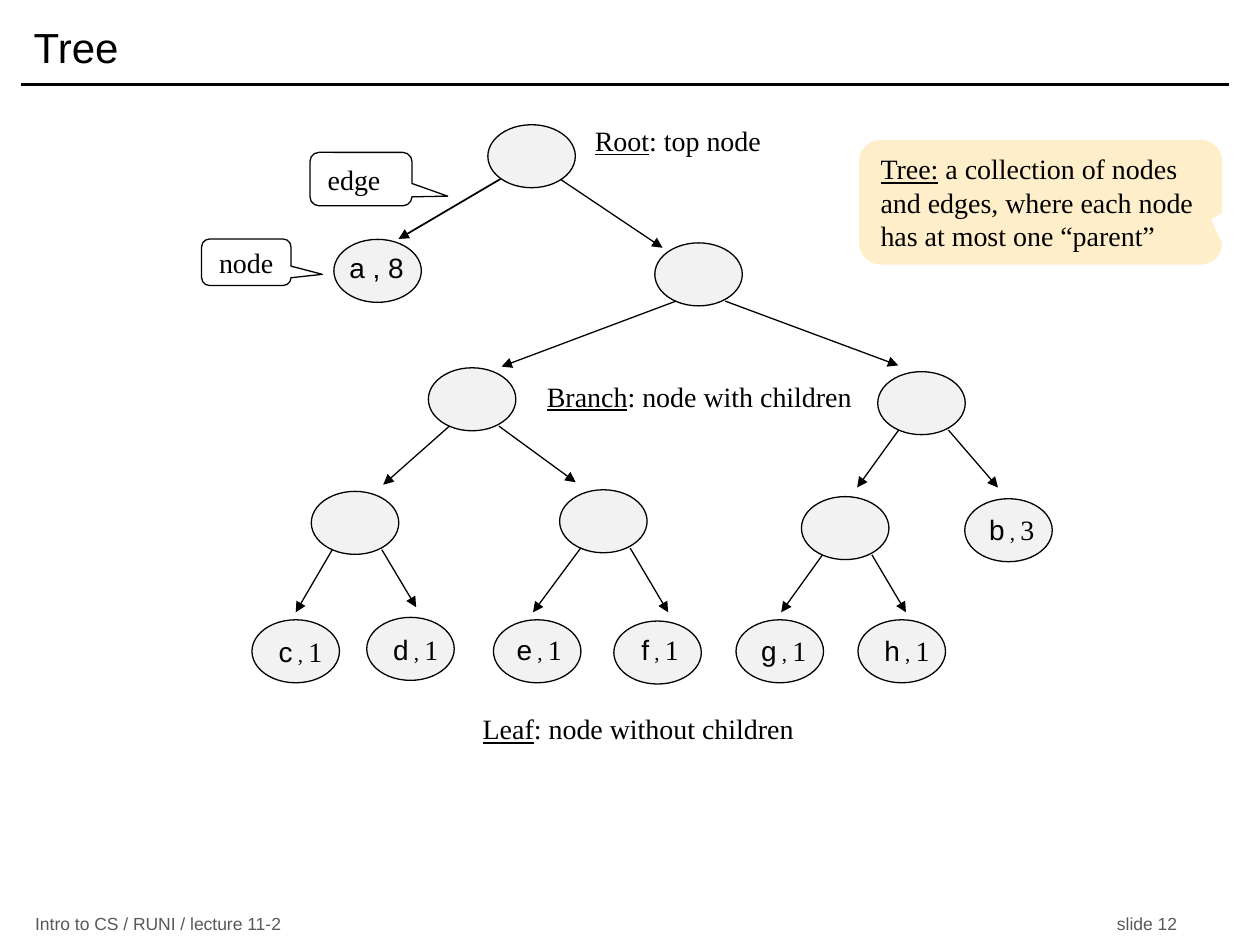
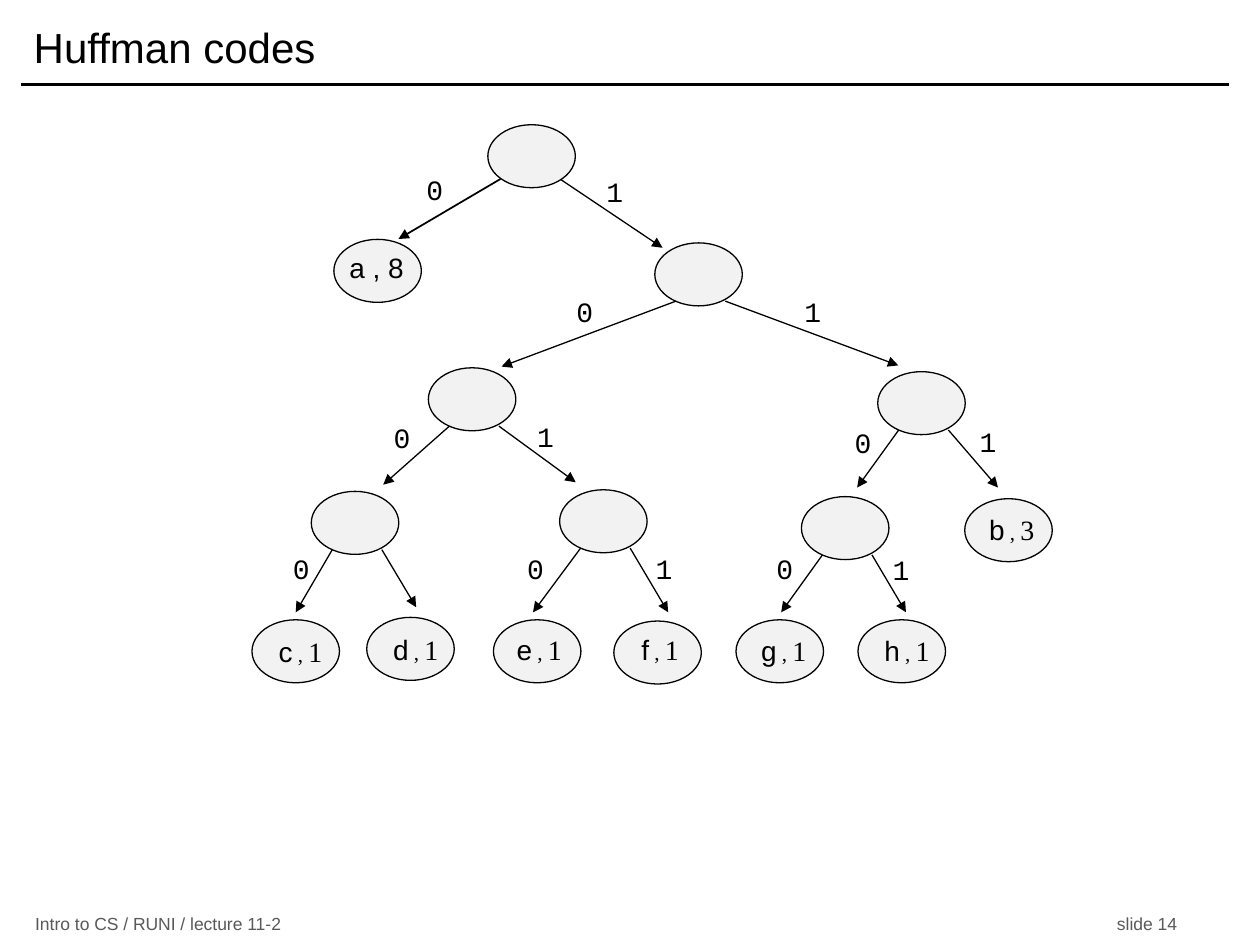
import dataclasses

import pptx
import pptx.dml.color
import pptx.enum.shapes
import pptx.enum.text
import pptx.oxml.ns
import pptx.util
from lxml import etree

Pt = pptx.util.Pt
RGB = pptx.dml.color.RGBColor.from_string
SHAPE = pptx.enum.shapes.MSO_SHAPE
ALIGN = pptx.enum.text.PP_ALIGN
ANCHOR = pptx.enum.text.MSO_ANCHOR


@dataclasses.dataclass(frozen=True)
class Theme:
    ink: str = "000000"
    muted: str = "595959"
    paper: str = "FFFFFF"
    node: str = "F2F2F2"
    highlight: str = "FFEECA"
    sans: str = "Arial"
    serif: str = "Times New Roman"
    mono: str = "Courier New"
    title: float = 24
    body: float = 16
    comma: float = 12
    footer: float = 10
    thin: float = 0.75
    rule: float = 2


T = Theme()

# Each node is keyed by its code: the parent's code plus one bit.
NODES = {
    "": (278.8, 71.3),
    "0": (190.8, 136.8), "1": (374.2, 138.8),
    "10": (244.8, 210.2), "11": (501.6, 212.4),
    "100": (177.9, 280.8), "101": (319.8, 279.9),
    "110": (458, 283.8), "111": (551.3, 285),
    "1000": (144, 354.2), "1001": (209.6, 352.8),
    "1010": (282, 354.2), "1011": (350.8, 354.9),
    "1100": (420.6, 354.2), "1101": (490.3, 354.2),
}
NODE_SIZE = (50, 36)
ARROW_TIPS = {
    "0": (227.7, 136.6), "1": (378.6, 141.6),
    "10": (286.6, 209.5), "11": (513.3, 208.8),
    "100": (219, 277), "101": (329, 275.6),
    "110": (489.8, 278.6), "111": (570.3, 278.6),
    "1000": (169, 349.9), "1001": (237.8, 347),
    "1010": (304.6, 349.9), "1011": (381.8, 349.9),
    "1100": (446.4, 349.9), "1101": (517.7, 349.9),
}
# Where the arrows to children 0 and 1 leave a node
EXITS = {"0": (12, 33.3), "1": (40.3, 33.3)}
ROOT_EXITS = {"0": (7.2, 31), "1": (41.2, 31)}
# code: (letter, count, left, top)
LEAVES = {
    "111": ("b", "3", 558, 289.4),
    "1000": ("c", "1", 151.6, 359.3),
    "1001": ("d", "1", 217.4, 357.8),
    "1010": ("e", "1", 288, 357.8),
    "1011": ("f", "1", 357.1, 357.8),
    "1100": ("g", "1", 427.7, 358.6),
    "1101": ("h", "1", 498.2, 358.6),
}
BIT_LABELS = {
    "0": (236.9, 95), "1": (339.8, 96.5),
    "10": (322.6, 164.9), "11": (452.9, 164.9),
    "100": (218.2, 236.9), "101": (300.2, 236.2),
    "110": (481.7, 239.8), "111": (553, 239),
    "1000": (160.6, 311.8),
    "1010": (294.5, 311.8), "1011": (367.9, 311.8),
    "1100": (437, 311.8), "1101": (503.3, 312.5),
}
# (term, explanation, box)
DEFINITIONS = [
    ("Branch", ": node with children", (299.5, 213.1, 200.2, 26.6)),
    ("Leaf", ": node without children", (221.8, 403.2, 285.8, 26.6)),
    ("Root", ": top node", (317.5, 67, 139.7, 26.6)),
]
# (term, explanation, box, fill, outline, tail and corner adjustments)
CALLOUTS = [
    ("", "node", (115.2, 136.6, 51.1, 26.6), T.paper, T.ink, (0.85, 0.26, 0.17)),
    ("", "edge", (177.1, 87.1, 58.3, 30.5), T.paper, T.ink, (0.85, 0.32, 0.17)),
    ("Tree:", " a collection of nodes and edges, where each node has at most one “parent”",
     (491, 79.9, 207.4, 71.3), T.highlight, None, (0.47, 0.14, 0.17)),
]
COURSE = "Intro to CS / RUNI / lecture 11-2"


def lengths(*values):
    return [Pt(v) for v in values]


def add_run(p, text, font=T.serif, size=T.body, color=T.ink, underline=None):
    r = p.add_run()
    r.text = text
    r.font.name, r.font.size, r.font.underline = font, Pt(size), underline
    r.font.color.rgb = RGB(color)


def add_term(p, term, explanation):
    if term:
        add_run(p, term, underline=True)
    add_run(p, explanation)


def set_frame(sp, inset=(7.2, 7.2), anchor=ANCHOR.TOP, align=ALIGN.LEFT, wrap=True):
    """Set the frame's layout and return its first paragraph."""
    tf = sp.text_frame
    tf.word_wrap, tf.vertical_anchor = wrap, anchor
    tf.margin_left, tf.margin_right = lengths(*inset)
    tf.margin_top = tf.margin_bottom = Pt(3.6)
    p = tf.paragraphs[0]
    p.alignment = align
    return p


def add_text(s, box, **layout):
    return set_frame(s.shapes.add_textbox(*lengths(*box)), **layout)


def add_shape(s, kind, box, fill, outline):
    sp = s.shapes.add_shape(kind, *lengths(*box))
    sp.shadow.inherit = False
    sp.fill.solid()
    sp.fill.fore_color.rgb = RGB(fill)
    if outline:
        sp.line.color.rgb = RGB(outline)
        sp.line.width = Pt(T.thin)
    else:
        sp.line.fill.background()
    return sp


def add_line(s, start, end, width=T.thin, arrow=False):
    ln = s.shapes.add_connector(pptx.enum.shapes.MSO_CONNECTOR.STRAIGHT,
                                *lengths(*start, *end))
    ln.line.color.rgb = RGB(T.ink)
    ln.line.width = Pt(width)
    qn = pptx.oxml.ns.qn
    if arrow:
        etree.SubElement(ln.line._get_or_add_ln(), qn("a:tailEnd"), type="triangle")
    etree.SubElement(ln._element.spPr, qn("a:effectLst"))


def add_page(prs, title, number):
    s = prs.slides.add_slide(prs.slide_layouts[6])
    add_line(s, (12, 48.2), (702, 48.2), T.rule)
    p = add_text(s, (12.2, 5.8, 689.8, 41.8), anchor=ANCHOR.MIDDLE)
    add_run(p, title, T.sans, T.title)
    for text, left, width in [(COURSE, 13, 300), (f"slide {number}", 631.2, 60)]:
        p = add_text(s, (left, 520.6, width, 13.7), anchor=ANCHOR.MIDDLE, wrap=False)
        add_run(p, text, T.sans, T.footer, T.muted)
    return s


def add_tree(s):
    for code, tip in ARROW_TIPS.items():
        parent, bit = code[:-1], code[-1]
        x, y = NODES[parent]
        dx, dy = (EXITS if parent else ROOT_EXITS)[bit]
        add_line(s, (x + dx, y + dy), tip, 1 if code == "0" else T.thin, arrow=True)
    for corner in NODES.values():
        add_shape(s, SHAPE.OVAL, (*corner, *NODE_SIZE), T.node, T.ink)
    p = add_text(s, (192.2, 139.7, 46.1, 26.6), align=ALIGN.CENTER, wrap=False)
    add_run(p, "a , 8", T.sans)
    for letter, count, left, top in LEAVES.values():
        p = add_text(s, (left, top, 40.3, 26.6), align=ALIGN.CENTER, wrap=False)
        add_run(p, letter, T.sans)
        add_run(p, " , ", size=T.comma)
        add_run(p, count)


def tree_slide(prs):
    s = add_page(prs, "Tree", 12)
    add_tree(s)
    for term, explanation, box in DEFINITIONS:
        add_term(add_text(s, box, inset=(0, 0), align=ALIGN.CENTER), term, explanation)
    for term, explanation, box, fill, outline, adjustments in CALLOUTS:
        sp = add_shape(s, SHAPE.ROUNDED_RECTANGULAR_CALLOUT, box, fill, outline)
        for i, value in enumerate(adjustments):
            sp.adjustments[i] = value
        add_term(set_frame(sp, inset=(8.64, 0), anchor=ANCHOR.MIDDLE), term, explanation)


def huffman_slide(prs):
    s = add_page(prs, "Huffman codes", 14)
    add_tree(s)
    for code, corner in BIT_LABELS.items():
        p = add_text(s, (*corner, 23, 26.6), inset=(0, 0), align=ALIGN.CENTER)
        add_run(p, code[-1], T.mono)


def main():
    prs = pptx.Presentation()
    prs.slide_width, prs.slide_height = lengths(720, 540)
    tree_slide(prs)
    huffman_slide(prs)
    prs.save("out.pptx")


if __name__ == "__main__":
    main()
